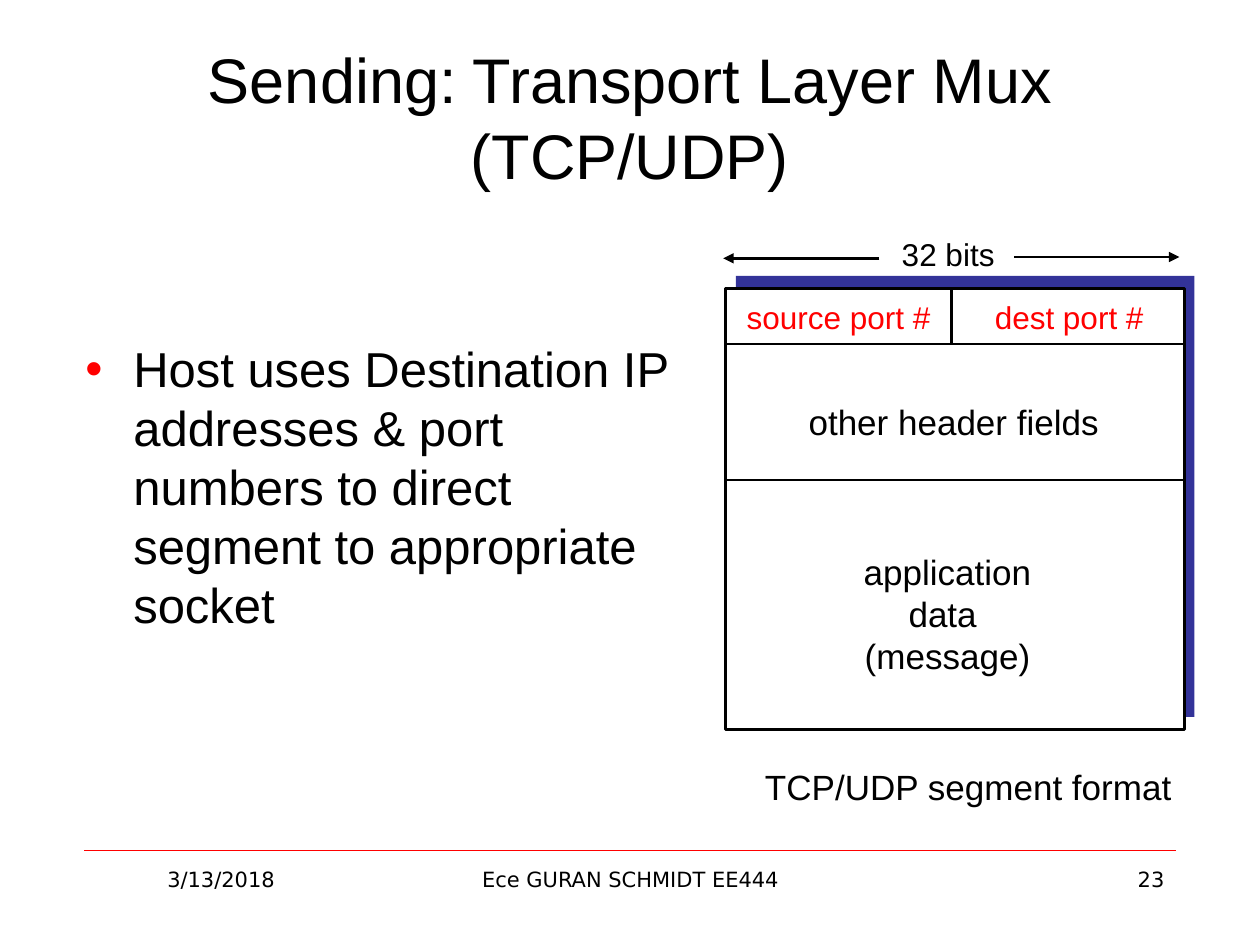
from pptx import Presentation
from pptx.dml.color import RGBColor as Color
from pptx.enum.shapes import MSO_CONNECTOR as Connector, MSO_SHAPE as Shape
from pptx.enum.text import MSO_ANCHOR as Anchor, PP_ALIGN as Align
from pptx.oxml import parse_xml
from pptx.oxml.ns import nsdecls
from pptx.util import Inches, Pt

COLORS = {"ink": "000000", "accent": "FF0000", "shade": "333399", "paper": "FFFFFF"}

deck = Presentation()
deck.slide_width, deck.slide_height = Inches(10), Inches(7.5)
page = deck.slides.add_slide(deck.slide_layouts[6])
column, row = deck.slide_width / 10, deck.slide_height / 7.5


def add_text(lines, left, top, width, height, size=20, align=Align.CENTER,
             color="ink", font="Arial", wrap=False, anchor=Anchor.TOP):
    box = page.shapes.add_textbox(*map(round, (left * column, top * row, width * column, height * row)))
    for name, value in {"word_wrap": wrap, "vertical_anchor": anchor}.items():
        setattr(box.text_frame, name, value)
    for index, line in enumerate(lines):
        para = box.text_frame.paragraphs[0] if index == 0 else box.text_frame.add_paragraph()
        para.alignment = align
        span = para.add_run()
        span.text = line
        for name, value in {"name": font, "size": Pt(size)}.items():
            setattr(span.font, name, value)
        span.font.color.rgb = Color.from_string(COLORS[color])
    return box


def add_line(start_x, start_y, end_x, end_y, color="ink", weight=1.5, arrow=False):
    line = page.shapes.add_connector(
        Connector.STRAIGHT, *map(round, (start_x * column, start_y * row, end_x * column, end_y * row)))
    line.line.color.rgb = Color.from_string(COLORS[color])
    line.line.width = Pt(weight)
    if arrow:
        line.line._get_or_add_ln().append(parse_xml(f'<a:tailEnd {nsdecls("a")} type="triangle"/>'))
    line._element.spPr.append(parse_xml(f'<a:effectLst {nsdecls("a")}/>'))


add_line(0.67, 6.75, 9.33, 6.75, color="accent", weight=0.25)
for words, left, width, align in [
    ("3/13/2018", 0.67, 2.17, Align.CENTER),
    ("Ece GURAN SCHMIDT EE444", 3.42, 3.17, Align.CENTER),
    ("23", 7.17, 2.17, Align.RIGHT),
]:
    add_text([words], left, 6.83, width, 0.52, size=12, align=align, font="DejaVu Sans", wrap=True)

segment_left, segment_top, segment_width, segment_height = 5.76, 2.29, 3.64, 3.5
segment_right = segment_left + segment_width
for shift_x, shift_y, fill, outlined in [(0.08, -0.1, "shade", False), (0, 0, "paper", True)]:
    panel = page.shapes.add_shape(Shape.RECTANGLE, *map(round, (
        (segment_left + shift_x) * column, (segment_top + shift_y) * row,
        segment_width * column, segment_height * row)))
    panel.shadow.inherit = False
    panel.fill.solid()
    panel.fill.fore_color.rgb = Color.from_string(COLORS[fill])
    if outlined:
        panel.line.color.rgb = Color.from_string(COLORS["ink"])
        panel.line.width = Pt(1.5)
    else:
        panel.line.fill.background()

add_text(["Sending: Transport Layer Mux (TCP/UDP)"], 0.5, 0.3, 9, 1.25,
         size=36, wrap=True, anchor=Anchor.MIDDLE)

body = add_text(["Host uses Destination IP addresses & port numbers to direct segment to appropriate socket"],
                0.58, 2.64, 4.95, 3.05, size=28, align=Align.LEFT, wrap=True)
bullet_para = body.text_frame.paragraphs[0]
bullet_para.space_before = Pt(5.6)
bullet = bullet_para._p.get_or_add_pPr()
for name, value in {"marL": Inches(0.38), "indent": -Inches(0.38)}.items():
    bullet.set(name, str(value))
for markup in [
    f'<a:buClr {nsdecls("a")}><a:srgbClr val="{COLORS["accent"]}"/></a:buClr>',
    f'<a:buFont {nsdecls("a")} typeface="Arial"/>',
    f'<a:buChar {nsdecls("a")} char="•"/>',
]:
    bullet.append(parse_xml(markup))

for divider in (2.73, 3.81):
    add_line(segment_left, divider, segment_right, divider)
add_line(7.55, 2.73, 7.55, segment_top)
for start, end, level in [(8.05, 9.36, 2.04), (6.98, 5.74, 2.05)]:
    add_line(start, level, end, level, arrow=True)

for lines, left, top, width, height, size, color in [
    (["source port #"], 5.82, 2.32, 1.67, 0.5, 18, "accent"),
    (["dest port #"], 7.79, 2.32, 1.39, 0.5, 18, "accent"),
    (["32 bits"], 7.05, 1.82, 0.95, 0.5, 18, "ink"),
    (["application", "data ", "(message)"], 6.73, 4.32, 1.58, 1.1, 20, "ink"),
    (["other header fields"], 6.31, 3.13, 2.52, 0.44, 20, "ink"),
    (["TCP/UDP segment format"], 5.91, 6.03, 3.55, 0.43, 20, "ink"),
]:
    add_text(lines, left, top, width, height, size=size, color=color)

deck.save("out.pptx")
